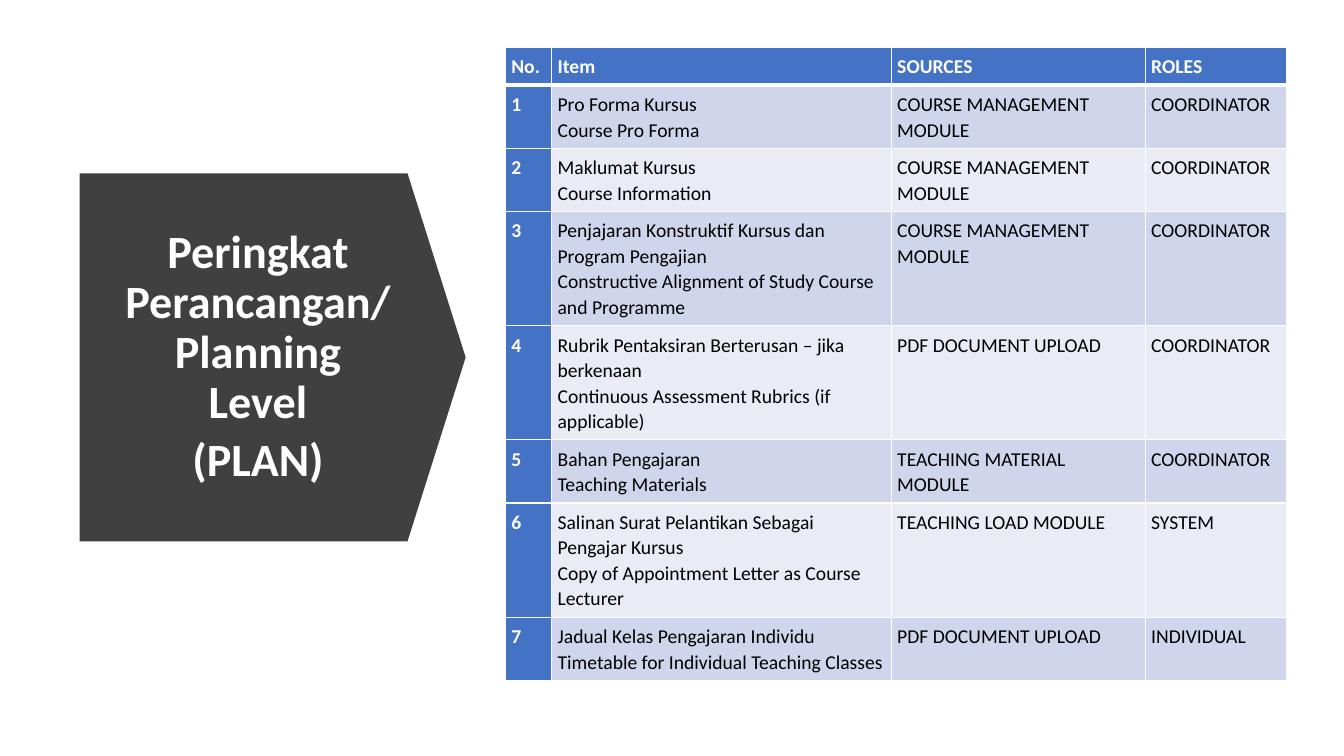
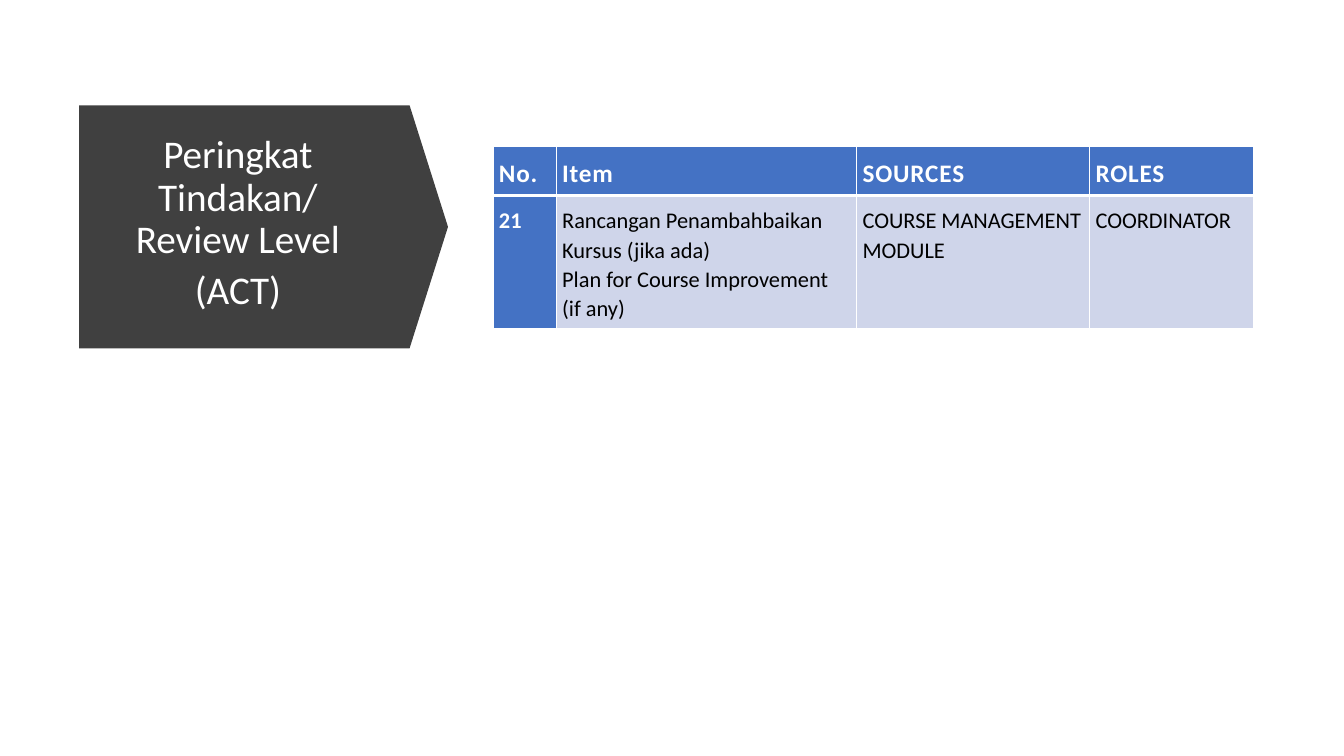
from dataclasses import dataclass
from lxml.etree import SubElement
from pptx import Presentation
from pptx.dml.color import RGBColor
from pptx.enum.shapes import MSO_SHAPE
from pptx.enum.text import MSO_ANCHOR, MSO_AUTO_SIZE, PP_ALIGN
from pptx.oxml import parse_xml
from pptx.oxml.ns import nsdecls, qn
from pptx.util import Pt

FONT = "Calibri"
WHITE, BLACK, DARK, BLUE = "FFFFFF", "000000", "404040", "4472C4"
BANDS = ("CFD5EA", "E9EBF5")
HEADS = ("No.", "Item", "SOURCES", "ROLES")
COURSE = "COURSE MANAGEMENT MODULE"
UPLOAD = "PDF DOCUMENT UPLOAD"
LEAD = "COORDINATOR"
SIDE = 4.32


@dataclass(frozen=True)
class Box:
    left: float
    top: float
    width: float
    height: float

    def place(self) -> tuple:
        return Pt(self.left), Pt(self.top), Pt(self.width), Pt(self.height)


@dataclass(frozen=True)
class Label:
    text: str
    box: Box
    arrow: Box
    size: float
    bold: bool
    anchor: MSO_ANCHOR


@dataclass(frozen=True)
class Grid:
    left: float
    top: float
    cols: tuple
    rows: tuple
    items: tuple
    head: float
    body: float
    track: int
    inset: float
    anchor: MSO_ANCHOR


def color(code: str) -> RGBColor:
    return RGBColor.from_string(code)


def style(part, size: float, code: str, bold: bool, track: int = 0) -> None:
    for run in part.runs:
        font = run.font
        font.name, font.size, font.bold = FONT, Pt(size), bold
        font.color.rgb = color(code)
        if track:
            run._r.get_or_add_rPr().set("spc", str(track))
    for gap in part._p.findall(qn("a:br")):
        SubElement(gap, qn("a:rPr"), sz=str(size * 100))


def edge(cell, top: int, bottom: int) -> None:
    props = cell._tc.get_or_add_tcPr()
    sides = (("L", 1), ("R", 1), ("T", top), ("B", bottom))
    for spot, (side, width) in enumerate(sides):
        props.insert(spot, parse_xml(
            f'<a:ln{side} {nsdecls("a")} w="{Pt(width)}"><a:solidFill>'
            f'<a:srgbClr val="{WHITE}"/></a:solidFill></a:ln{side}>'))


def add_label(slide, label: Label) -> None:
    arrow = slide.shapes.add_shape(MSO_SHAPE.DOWN_ARROW, *label.arrow.place())
    arrow.rotation = 270
    arrow.adjustments[0], arrow.adjustments[1] = 1, 0.158
    arrow.shadow.inherit = False
    arrow.fill.solid()
    arrow.fill.fore_color.rgb = color(DARK)
    arrow.line.fill.background()

    title = slide.shapes.title
    title.element.addprevious(arrow.element)
    title.left, title.top, title.width, title.height = label.box.place()
    frame = title.text_frame
    frame.text = label.text
    frame.word_wrap = True
    frame.auto_size = MSO_AUTO_SIZE.NONE
    frame.vertical_anchor = label.anchor
    for part in frame.paragraphs:
        part.alignment = PP_ALIGN.CENTER
        part.line_spacing, part.space_after = 0.9, Pt(6)
        style(part, label.size, WHITE, label.bold)


def add_cell(cell, text: str, row: int, col: int, grid: Grid) -> None:
    head = row == 0
    key = head or col == 0
    cell.fill.solid()
    cell.fill.fore_color.rgb = color(BLUE if key else BANDS[(row - 1) % 2])
    cell.margin_left = cell.margin_right = cell.margin_bottom = Pt(SIDE)
    cell.margin_top = Pt(grid.inset)
    cell.vertical_anchor = grid.anchor if head else MSO_ANCHOR.TOP
    part = cell.text_frame.paragraphs[0]
    part.text = text
    part.line_spacing, part.space_after = 1.07, Pt(8)
    style(part, grid.head if head else grid.body, WHITE if key else BLACK,
          key, grid.track if head else 0)
    edge(cell, 3 if row == 1 else 1, 3 if head else 1)


def add_grid(slide, grid: Grid) -> None:
    box = Box(grid.left, grid.top, sum(grid.cols), sum(grid.rows))
    table = slide.shapes.add_table(
        len(grid.rows), len(grid.cols), *box.place()).table
    for col, width in zip(table.columns, grid.cols):
        col.width = Pt(width)
    for row, height in zip(table.rows, grid.rows):
        row.height = Pt(height)
    for row, texts in enumerate((HEADS, *grid.items)):
        for col, text in enumerate(texts):
            add_cell(table.cell(row, col), text, row, col, grid)


PLAN = (
    Label("Peringkat Perancangan/Planning Level\n(PLAN)",
          Box(80.64, 154.8, 207.36, 200.88), Box(63.36, 117.36, 262.8, 275.76),
          33, True, MSO_ANCHOR.MIDDLE),
    Grid(360.9, 34, (33.1, 242.6, 181.4, 100.8),
         (24, 36, 36, 49, 36, 36, 36, 36), (
        ("1", "Pro Forma Kursus\nCourse Pro Forma", COURSE, LEAD),
        ("2", "Maklumat Kursus\nCourse Information", COURSE, LEAD),
        ("3", "Penjajaran Konstruktif Kursus dan Program Pengajian\n"
              "Constructive Alignment of Study Course and Programme",
         COURSE, LEAD),
        ("4", "Rubrik Pentaksiran Berterusan – jika berkenaan\n"
              "Continuous Assessment Rubrics (if applicable)", UPLOAD, LEAD),
        ("5", "Bahan Pengajaran\nTeaching Materials",
         "TEACHING MATERIAL MODULE", LEAD),
        ("6", "Salinan Surat Pelantikan Sebagai Pengajar Kursus\n"
              "Copy of Appointment Letter as Course Lecturer",
         "TEACHING LOAD MODULE", "SYSTEM"),
        ("7", "Jadual Kelas Pengajaran Individu\n"
              "Timetable for Individual Teaching Classes",
         UPLOAD, "INDIVIDUAL"),
    ), 14, 14, 0, SIDE, MSO_ANCHOR.BOTTOM),
)
ACT = (
    Label("Peringkat Tindakan/ Review Level\n(ACT)",
          Box(64.8, 92.88, 210.24, 190.8), Box(101.52, 30.24, 173.52, 263.52),
          28, False, MSO_ANCHOR.TOP),
    Grid(352.1, 104.6, (45.2, 214.6, 166.4, 117.4), (33.8, 85), (
        ("21", "Rancangan Penambahbaikan Kursus (jika ada)\n"
               "Plan for Course Improvement (if any)", COURSE, LEAD),
    ), 18, 16, 60, 7.2, MSO_ANCHOR.MIDDLE),
)


def main() -> None:
    deck = Presentation()
    deck.slide_width, deck.slide_height = Pt(960), Pt(540)
    for label, grid in (PLAN, ACT):
        slide = deck.slides.add_slide(deck.slide_layouts[5])
        add_label(slide, label)
        add_grid(slide, grid)
    deck.save("out.pptx")


if __name__ == "__main__":
    main()
